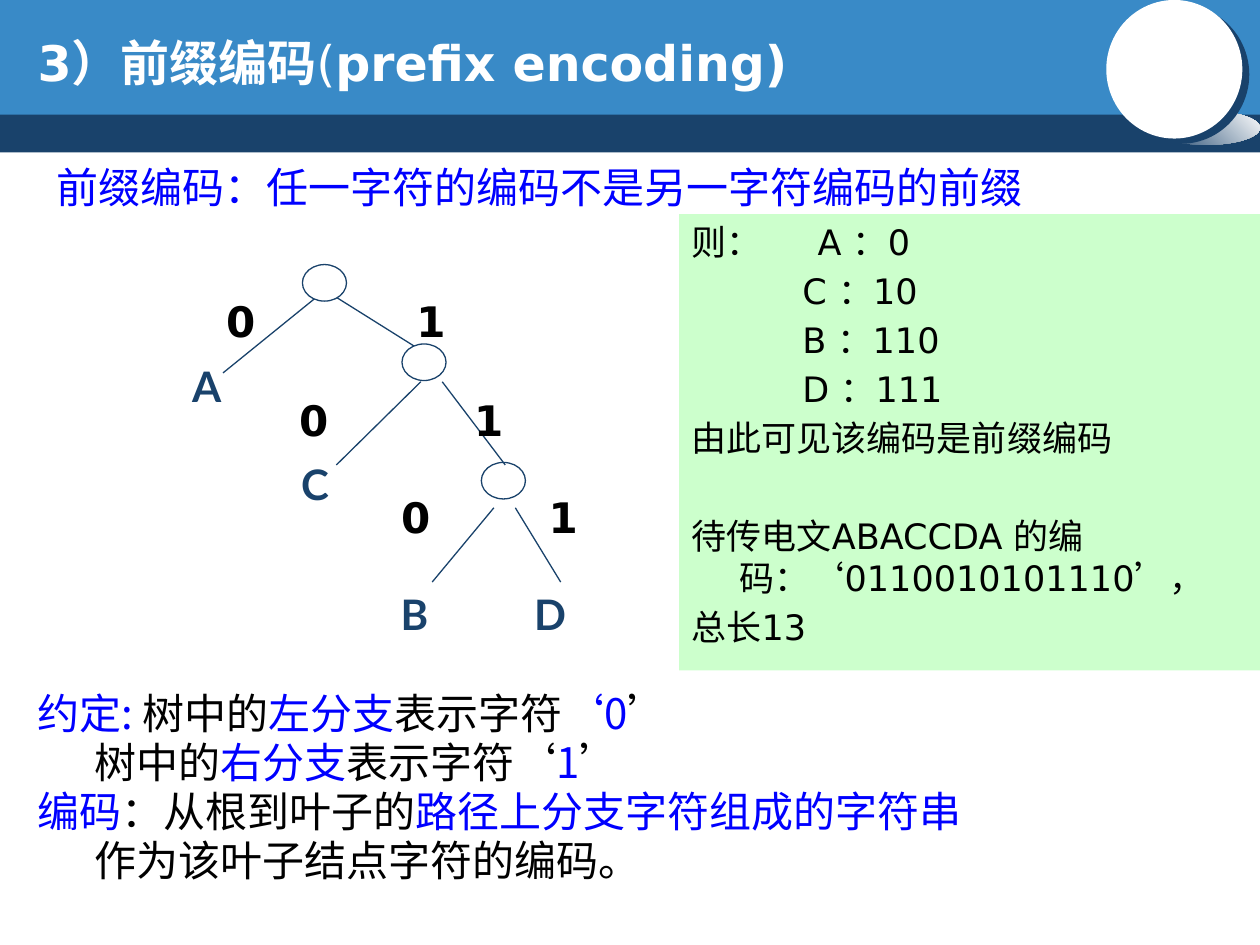
import pptx
import pptx.dml.color
import pptx.enum.shapes
import pptx.enum.text
import pptx.oxml
import pptx.oxml.ns
import pptx.util
from lxml import etree

Inches = pptx.util.Inches
Pt = pptx.util.Pt
RGBColor = pptx.dml.color.RGBColor
Shape = pptx.enum.shapes.MSO_SHAPE
qn = pptx.oxml.ns.qn

NAVY = RGBColor(0x19, 0x42, 0x6B)
SKY = RGBColor(0x39, 0x8A, 0xC7)
WHITE = RGBColor(0xFF, 0xFF, 0xFF)
BLACK = RGBColor(0, 0, 0)
BLUE = RGBColor(0, 0, 0xFF)
MINT = RGBColor(0xCC, 0xFF, 0xCC)
SANS = "DejaVu Sans"
LABEL = "Lato"
CHINESE = "Noto Sans CJK SC"
NODE_WIDTH, NODE_HEIGHT = 0.35, 0.29


class SlideBuilder:
    def __init__(self, slide):
        self.slide = slide

    def shape(self, kind, left, top, width, height, fill, line=None):
        shape = self.slide.shapes.add_shape(
            kind, Inches(left), Inches(top), Inches(width), Inches(height))
        shape.shadow.inherit = False
        shape.fill.solid()
        shape.fill.fore_color.rgb = fill
        if line is None:
            shape.line.fill.background()
        else:
            shape.line.color.rgb = line
            shape.line.width = Pt(0.75)
        return shape

    def node(self, left, top):
        self.shape(Shape.OVAL, left, top, NODE_WIDTH, NODE_HEIGHT, WHITE, NAVY)

    def branch(self, start, end):
        connector = self.slide.shapes.add_connector(
            pptx.enum.shapes.MSO_CONNECTOR.STRAIGHT,
            Inches(start[0]), Inches(start[1]), Inches(end[0]), Inches(end[1]))
        connector.line.color.rgb = NAVY
        connector.line.width = Pt(0.75)
        etree.SubElement(connector._element.spPr, qn("a:effectLst"))

    def text_box(self, left, top, width, height, wrap=True):
        box = self.slide.shapes.add_textbox(
            Inches(left), Inches(top), Inches(width), Inches(height))
        box.text_frame.word_wrap = wrap
        return box.text_frame

    def run(self, paragraph, text, size, font, color, bold=False):
        run = paragraph.add_run()
        run.text = text
        run.font.size = Pt(size)
        run.font.name = font
        run.font.bold = bold
        run.font.color.rgb = color
        properties = run._r.get_or_add_rPr()
        properties.set("lang", "zh-CN")
        etree.SubElement(properties, qn("a:ea")).set("typeface", CHINESE)

    def indent(self, paragraph, left, first=0):
        properties = paragraph._p.get_or_add_pPr()
        properties.set("marL", str(Inches(left)))
        properties.set("indent", str(Inches(first)))
        return properties

    def paragraph(self, frame, index):
        return frame.add_paragraph() if index else frame.paragraphs[0]

    def label(self, center_x, center_y, text, font, color):
        frame = self.text_box(center_x - 0.22, center_y - 0.25, 0.44, 0.5, wrap=False)
        paragraph = frame.paragraphs[0]
        paragraph.alignment = pptx.enum.text.PP_ALIGN.CENTER
        self.run(paragraph, text, 24, font, color, bold=True)


def draw_header(builder):
    builder.shape(Shape.RECTANGLE, 0, 0.87, 10, 0.34, NAVY)
    builder.shape(Shape.RECTANGLE, 0, 0, 10, 0.91, SKY)
    glow = builder.shape(Shape.OVAL, 9.15, 0.88, 0.85, 0.27, NAVY)
    glow.fill.gradient()
    glow.fill.gradient_angle = 45
    for stop, color in zip(glow.fill.gradient_stops, (NAVY, WHITE)):
        stop.color.rgb = color
    disc = builder.shape(Shape.OVAL, 8.78, 0, 1.08, 1.1, WHITE)
    effects = disc._element.spPr.find(qn("a:effectLst"))
    shadow = etree.SubElement(effects, qn("a:outerShdw"))
    shadow.set("dist", str(Pt(5)))
    shadow.set("dir", str(37 * 60000))
    shadow.set("algn", "ctr")
    shadow.set("rotWithShape", "0")
    etree.SubElement(shadow, qn("a:srgbClr")).set("val", str(NAVY))
    builder.shape(Shape.OVAL, 9.14, 0.39, 0.38, 0.38, WHITE)

    title = builder.text_box(0.2, 0.21, 6.22, 0.57).paragraphs[0]
    for text, bold in (("3）前缀编码", True), ("(", False), ("prefix encoding)", True)):
        builder.run(title, text, 28, SANS, WHITE, bold)
    definition = builder.text_box(0.35, 1.23, 8.11, 0.5).paragraphs[0]
    builder.run(definition, "前缀编码：任一字符的编码不是另一字符编码的前缀", 24, LABEL, BLUE)


def draw_tree(builder):
    builder.node(3.82, 3.67)
    for start, end in (
        ((2.51, 2.36), (1.77, 2.96)), ((2.67, 2.36), (3.34, 2.78)),
        ((3.34, 3.03), (2.67, 3.69)), ((3.51, 3.03), (4.01, 3.69)),
        ((3.92, 4.03), (3.43, 4.62)), ((4.09, 4.03), (4.45, 4.62)),
    ):
        builder.branch(start, end)
    builder.node(3.19, 2.73)
    builder.node(2.4, 2.1)
    for y, zero_x, one_x in ((2.55, 1.91, 3.42), (3.33, 2.49, 3.88), (4.1, 3.3, 4.47)):
        builder.label(zero_x, y, "0", SANS, BLACK)
        builder.label(one_x, y, "1", SANS, BLACK)
    for letter, x, y in (("A", 1.64, 3.06), ("C", 2.5, 3.84), ("B", 3.29, 4.87), ("D", 4.36, 4.87)):
        builder.label(x, y, letter, LABEL, NAVY)


def draw_code_panel(builder):
    panel = builder.shape(Shape.RECTANGLE, 5.39, 1.7, 4.61, 3.62, MINT)
    frame = panel.text_frame
    frame.word_wrap = True
    frame.vertical_anchor = pptx.enum.text.MSO_ANCHOR.TOP
    lines = (
        ("则：\tA ：0", 0, 0, 0),
        ("C ：10", 0.88, 0, 4),
        ("B ：110", 0.88, 0, 4),
        ("D ：111", 0.88, 0, 4),
        ("由此可见该编码是前缀编码", 0.38, -0.38, 4),
        ("待传电文ABACCDA 的编码：‘0110010101110’，", 0.38, -0.38, 32),
        ("总长13", 0.38, -0.38, 4),
    )
    for index, (text, left, first, before) in enumerate(lines):
        paragraph = builder.paragraph(frame, index)
        paragraph.alignment = pptx.enum.text.PP_ALIGN.LEFT
        paragraph.space_before = Pt(before)
        properties = builder.indent(paragraph, left, first)
        if "\t" in text:
            tabs = etree.SubElement(properties, qn("a:tabLst"))
            tab = etree.SubElement(tabs, qn("a:tab"))
            tab.set("pos", str(Inches(0.8)))
            tab.set("algn", "l")
        builder.run(paragraph, text, 20, SANS, BLACK)


def draw_rules(builder):
    frame = builder.text_box(0.2, 5.42, 9.8, 1.65)
    rules = (
        (0, (("约定: ", BLUE), ("树中的", BLACK), ("左分支", BLUE),
             ("表示字符", BLACK), ("‘0", BLUE), ("’", BLACK))),
        (0.45, (("树中的", BLACK), ("右分支", BLUE), ("表示字符‘", BLACK),
                ("1", BLUE), ("’", BLACK))),
        (0, (("编码", BLUE), ("：从根到叶子的", BLACK),
             ("路径上分支字符组成的字符串", BLUE))),
        (0.45, (("作为该叶子结点字符的编码。", BLACK),)),
    )
    for index, (left, parts) in enumerate(rules):
        paragraph = builder.paragraph(frame, index)
        paragraph.line_spacing = Pt(28)
        builder.indent(paragraph, left)
        for text, color in parts:
            builder.run(paragraph, text, 24, CHINESE, color)


def main():
    presentation = pptx.Presentation()
    presentation.slide_width = Inches(10)
    presentation.slide_height = Inches(7.5)
    builder = SlideBuilder(presentation.slides.add_slide(presentation.slide_layouts[6]))
    draw_header(builder)
    draw_tree(builder)
    draw_code_panel(builder)
    draw_rules(builder)
    presentation.save("out.pptx")


if __name__ == "__main__":
    main()
